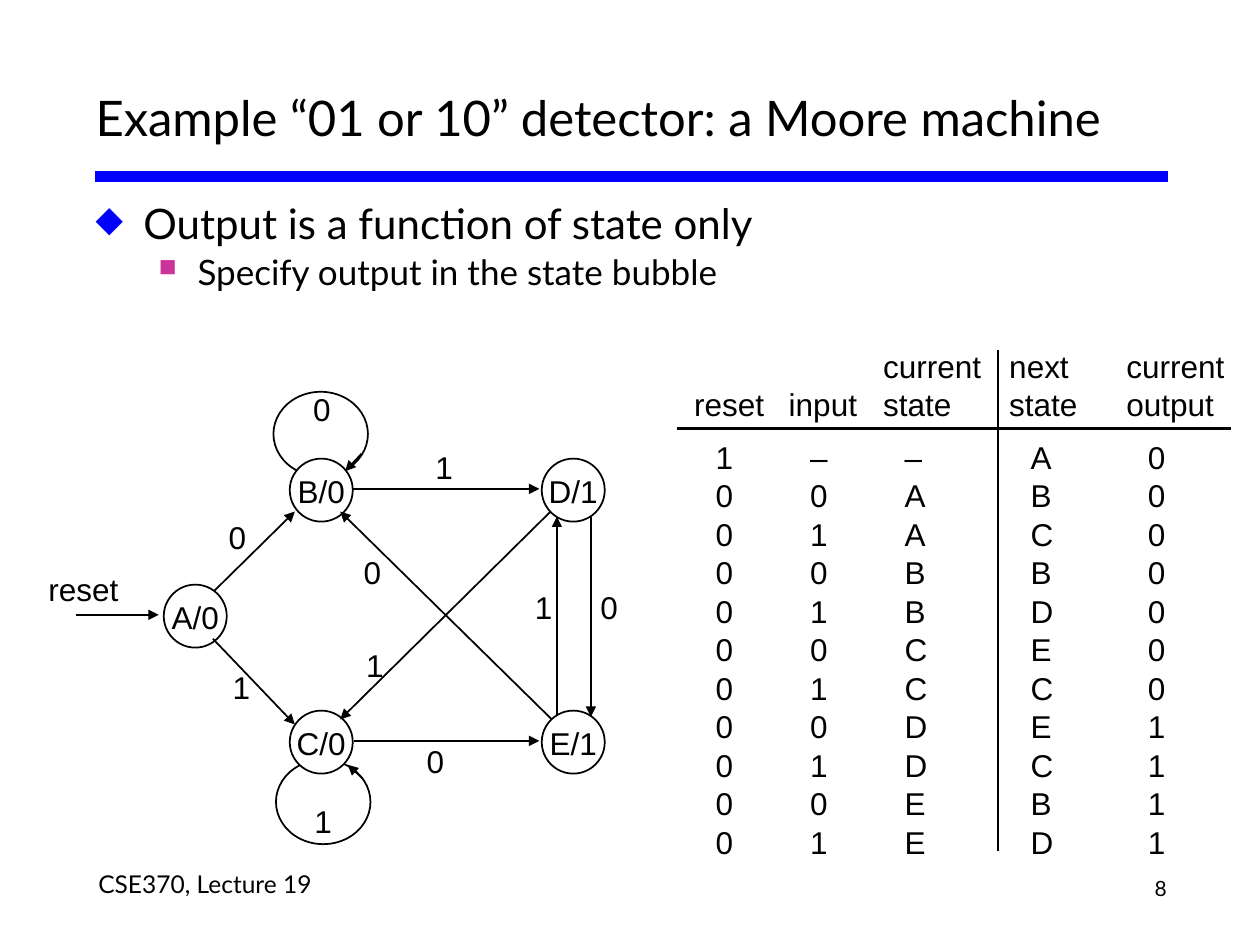
from lxml import etree
from pptx import Presentation
from pptx.dml.color import RGBColor
from pptx.enum.shapes import MSO_CONNECTOR, MSO_SHAPE
from pptx.enum.text import MSO_ANCHOR, PP_ALIGN
from pptx.oxml.ns import qn
from pptx.util import Inches, Pt

STRAIGHT = MSO_CONNECTOR.STRAIGHT
OVAL = MSO_SHAPE.OVAL
MIDDLE, BOTTOM = MSO_ANCHOR.MIDDLE, MSO_ANCHOR.BOTTOM
LEFT, CENTER, RIGHT = PP_ALIGN.LEFT, PP_ALIGN.CENTER, PP_ALIGN.RIGHT

THEME = {
    "ink": "000000", "paper": "FFFFFF", "blue": "0000FF", "magenta": "CC3399",
    "heading_font": "Lato", "diagram_font": "Arial",
    "title": 28, "body": 24, "detail": 20, "diagram": 18, "footer": 14, "number": 12,
}
INK = RGBColor.from_string(THEME["ink"])


def write(frame, text, size, font, align=LEFT, leading=None):
    frame.text = text
    for para in frame.paragraphs:
        para.alignment = align
        if leading:
            para.line_spacing = Pt(leading)
        for span in para.runs:
            span.font.size = Pt(THEME[size])
            span.font.name = THEME[font]
            span.font.color.rgb = INK


def add_line(shapes, start, end, color="ink", width=1, arrow=False):
    line = shapes.add_connector(STRAIGHT, *[Inches(value) for value in start + end])
    line.line.color.rgb = RGBColor.from_string(THEME[color])
    line.line.width = Pt(width)
    properties = line._element.spPr
    if arrow:
        etree.SubElement(properties.find(qn("a:ln")), qn("a:tailEnd"), type="triangle")
    etree.SubElement(properties, qn("a:effectLst"))


deck = Presentation()
deck.slide_width, deck.slide_height = Inches(10), Inches(7.5)
page = deck.slides.add_slide(deck.slide_layouts[6])

add_line(page.shapes, (0.75, 1.4), (9.27, 1.4), "blue", 6)

title = page.shapes.add_textbox(Inches(0.66), Inches(0.52), Inches(8.68), Inches(0.82))
title.text_frame.word_wrap = True
title.text_frame.vertical_anchor = MIDDLE
write(title.text_frame, "Example “01 or 10” detector: a Moore machine", "title", "heading_font")

body = page.shapes.add_textbox(Inches(0.66), Inches(1.52), Inches(8.68), Inches(1.37))
body.text_frame.word_wrap = True
write(body.text_frame, "Output is a function of state only\nSpecify output in the state bubble",
      "body", "heading_font")
bullets = [
    ("◆", "blue", 85, 0.38, -0.38),
    ("■", "magenta", 70, 0.81, -0.31),
]
for para, (symbol, color, percent, margin, indent) in zip(body.text_frame.paragraphs, bullets):
    properties = para._p.get_or_add_pPr()
    properties.set("marL", str(Inches(margin)))
    properties.set("indent", str(Inches(indent)))
    bullet_color = etree.SubElement(properties, qn("a:buClr"))
    etree.SubElement(bullet_color, qn("a:srgbClr"), val=THEME[color])
    etree.SubElement(properties, qn("a:buSzPct"), val=str(percent * 1000))
    etree.SubElement(properties, qn("a:buChar"), char=symbol)
detail = body.text_frame.paragraphs[1]
detail.level = 1
detail.line_spacing = 1.05
detail.runs[0].font.size = Pt(THEME["detail"])

diagram = page.shapes.add_group_shape().shapes

ovals = [("", 2.19, 6.03, 0.75, 0.67), ("", 2.17, 3.11, 0.75, 0.67)]
ovals += [(name, left, top, 0.5, 0.5) for name, left, top in [
    ("A/0", 1.3, 4.64), ("B/0", 2.3, 3.64), ("C/0", 2.3, 5.64),
    ("D/1", 4.3, 3.64), ("E/1", 4.3, 5.64),
]]
for name, *place in ovals:
    oval = diagram.add_shape(OVAL, *[Inches(value) for value in place])
    oval.shadow.inherit = False
    oval.line.color.rgb = INK
    oval.line.width = Pt(1)
    if not name:
        oval.fill.background()
        continue
    oval.fill.solid()
    oval.fill.fore_color.rgb = RGBColor.from_string(THEME["paper"])
    frame = oval.text_frame
    frame.margin_left = frame.margin_right = frame.margin_top = frame.margin_bottom = 0
    frame.word_wrap = False
    frame.vertical_anchor = MIDDLE
    write(frame, name, "diagram", "diagram_font", CENTER, 22)

transitions = [
    ((0.6, 4.88), (1.26, 4.88)),
    ((1.7, 4.69), (2.34, 4.06)),
    ((1.69, 5.07), (2.34, 5.75)),
    ((2.8, 3.88), (4.28, 3.88)),
    ((2.81, 5.88), (4.28, 5.88)),
    ((4.38, 5.71), (2.7, 4.06)),
    ((4.37, 4.06), (2.7, 5.71)),
    ((4.69, 4.1), (4.69, 5.69)),
    ((4.42, 5.68), (4.42, 4.1)),
    ((2.88, 6.18), (2.76, 6.07)),
    ((2.87, 3.6), (2.74, 3.74)),
]
for start, end in transitions:
    add_line(diagram, start, end, arrow=True)

input_labels = [
    ("1", 4.01, 4.63), ("0", 1.58, 4.08), ("0", 2.25, 3.06), ("0", 2.65, 4.35),
    ("0", 4.53, 4.63), ("1", 2.67, 5.09), ("1", 2.26, 6.33), ("1", 1.61, 5.27),
    ("1", 3.22, 3.52), ("0", 3.15, 5.85),
]
diagram_style = ("diagram", "diagram_font")
labels = [(diagram, text, (left, top, 0.61, 0.44), *diagram_style, CENTER, 22)
          for text, left, top in input_labels]
labels += [
    (diagram, "reset", (0.07, 4.49, 0.89, 0.44), *diagram_style, RIGHT, 22),
    (page.shapes, "CSE370, Lecture 19", (0.76, 6.88, 3.71, 0.37), "footer", "heading_font", LEFT, 16),
    (page.shapes, "8", (8.89, 6.9, 0.39, 0.36), "number", "heading_font", RIGHT, 16),
]
for shapes, text, place, size, font, align, leading in labels:
    box = shapes.add_textbox(*[Inches(value) for value in place])
    frame = box.text_frame
    frame.word_wrap = True
    frame.margin_left = frame.margin_right = Inches(0.02)
    frame.margin_top = frame.margin_bottom = Inches(0.03)
    write(frame, text, size, font, align, leading)

rows = [["reset", "input", "current\nstate", "next\nstate", "current\noutput"]]
rows += [line.split() for line in [
    "1 – – A 0", "0 0 A B 0", "0 1 A C 0", "0 0 B B 0", "0 1 B D 0", "0 0 C E 0",
    "0 1 C C 0", "0 0 D E 1", "0 1 D C 1", "0 0 E B 1", "0 1 E D 1",
]]
column_widths = [0.75, 0.75, 1, 0.93, 0.93]
header_height, row_height = 0.75, 22 / 72
table = page.shapes.add_table(
    len(rows), len(column_widths), Inches(5.49), Inches(2.72), Inches(sum(column_widths)),
    Inches(header_height + row_height * (len(rows) - 1))).table
table.first_row = table.horz_banding = False
for column, width in zip(table.columns, column_widths):
    column.width = Inches(width)
for row_index, values in enumerate(rows):
    header = row_index == 0
    table.rows[row_index].height = Inches(header_height if header else row_height)
    for column_index, value in enumerate(values):
        cell = table.cell(row_index, column_index)
        cell.fill.background()
        cell.margin_left = Inches(0.02 if header else 0.19)
        cell.margin_right = cell.margin_top = 0
        cell.margin_bottom = Inches(0.11 if header else 0)
        cell.vertical_anchor = BOTTOM
        write(cell.text_frame, value, *diagram_style, LEFT, 22)

add_line(page.shapes, (5.37, 3.4), (9.77, 3.4), width=1.5)
add_line(page.shapes, (7.92, 2.78), (7.92, 6.75), width=1.5)

deck.save("out.pptx")
